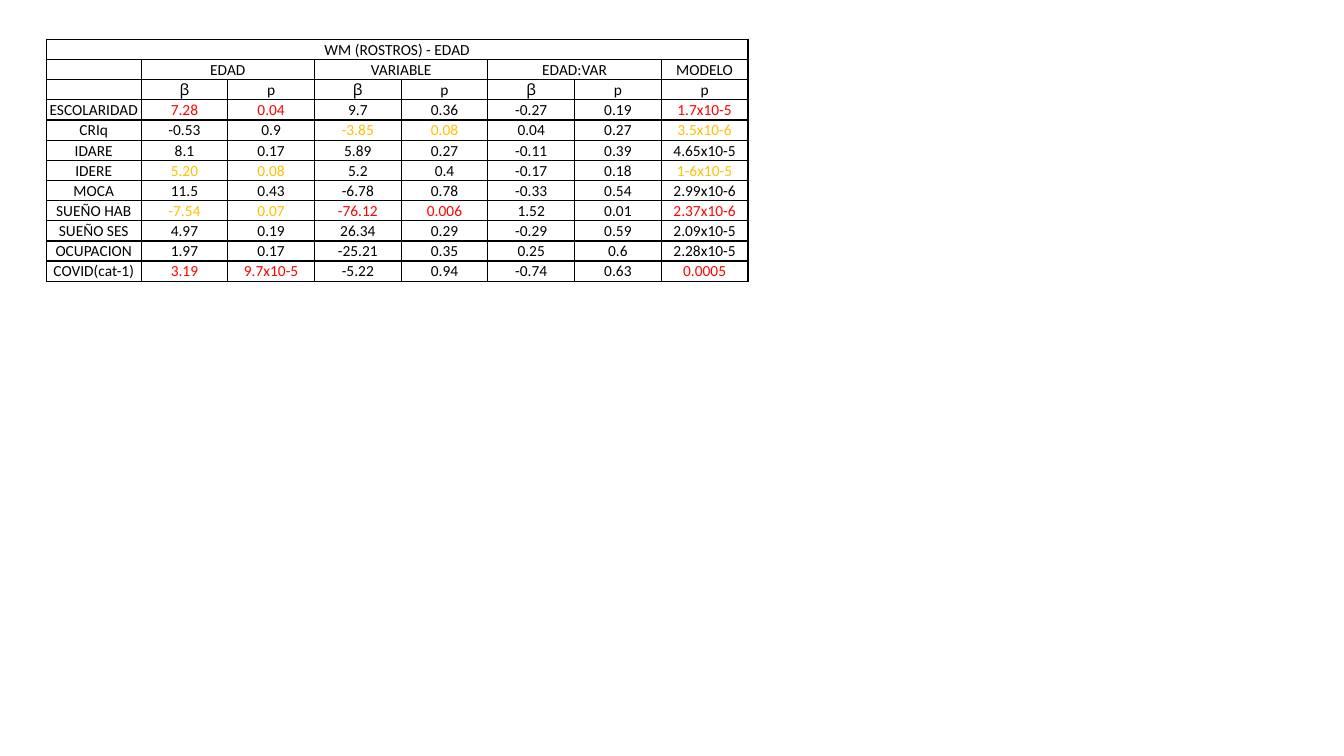
from lxml import etree
from pptx import Presentation
from pptx.dml.color import RGBColor
from pptx.enum import text
from pptx.oxml import ns
from pptx.util import Inches, Pt

BLACK = RGBColor(0, 0, 0)
RED = RGBColor(255, 0, 0)
AMBER = RGBColor(255, 192, 0)
TINTS = {"k": BLACK, "r": RED, "a": AMBER}

TITLE = "WM (ROSTROS) - EDAD"
GROUPS = ["EDAD", "VARIABLE", "EDAD:VAR", "MODELO"]
STATS = ["", *["\ua7b5", "p"] * 3, "p"]

# Label, values, then one tint letter for each column group
ROWS = [
    ("ESCOLARIDAD", "7.28 0.04 9.7 0.36 -0.27 0.19 1.7x10-5", "rkkr"),
    ("CRIq", "-0.53 0.9 -3.85 0.08 0.04 0.27 3.5x10-6", "kaka"),
    ("IDARE", "8.1 0.17 5.89 0.27 -0.11 0.39 4.65x10-5", "kkkk"),
    ("IDERE", "5.20 0.08 5.2 0.4 -0.17 0.18 1-6x10-5", "akka"),
    ("MOCA", "11.5 0.43 -6.78 0.78 -0.33 0.54 2.99x10-6", "kkkk"),
    ("SUEÑO HAB", "-7.54 0.07 -76.12 0.006 1.52 0.01 2.37x10-6", "arkr"),
    ("SUEÑO SES", "4.97 0.19 26.34 0.29 -0.29 0.59 2.09x10-5", "kkkk"),
    ("OCUPACION", "1.97 0.17 -25.21 0.35 0.25 0.6 2.28x10-5", "kkkk"),
    ("COVID(cat-1)", "3.19 9.7x10-5 -5.22 0.94 -0.74 0.63 0.0005", "rkkr"),
]


def add_edges(cell):
    props = cell._tc.get_or_add_tcPr()
    for side in ("lnL", "lnR", "lnT", "lnB"):
        line = etree.SubElement(props, ns.qn("a:" + side), w=str(Pt(1)))
        fill = etree.SubElement(line, ns.qn("a:solidFill"))
        etree.SubElement(fill, ns.qn("a:srgbClr"), val=str(BLACK))


def style_cell(cell):
    cell.margin_left = cell.margin_right = cell.margin_top = Inches(0.01)
    cell.margin_bottom = 0
    cell.vertical_anchor = text.MSO_ANCHOR.MIDDLE
    add_edges(cell)
    cell.fill.background()
    put_text(cell, "")


def put_text(cell, words, tint=BLACK):
    para = cell.text_frame.paragraphs[0]
    if words:
        para.text = words
    para.alignment = text.PP_ALIGN.CENTER
    font = para.font
    font.name, font.size = "Calibri", Pt(11)
    font.color.rgb = tint


def add_grid(slide):
    rows, cols = len(ROWS) + 3, len(STATS)
    frame = slide.shapes.add_table(rows, cols, Inches(0.46), Inches(0.39),
                                   Inches(6.96), Inches(0.2 * rows))
    table = frame.table
    table.first_row = table.horz_banding = False
    for i, col in enumerate(table.columns):
        col.width = Inches(0.86 if i else 0.94)
    for row in table.rows:
        row.height = Inches(0.2)
    for cell in table.iter_cells():
        style_cell(cell)
    return table


def fill_heads(table):
    last = len(STATS) - 1
    table.cell(0, 0).merge(table.cell(0, last))
    put_text(table.cell(0, 0), TITLE)
    for i, name in enumerate(GROUPS):
        left = 1 + 2 * i
        if left < last:
            table.cell(1, left).merge(table.cell(1, left + 1))
        put_text(table.cell(1, left), name)
    for i, stat in enumerate(STATS):
        put_text(table.cell(2, i), stat)


def fill_body(table):
    for r, (label, values, marks) in enumerate(ROWS, 3):
        put_text(table.cell(r, 0), label)
        for c, value in enumerate(values.split()):
            put_text(table.cell(r, c + 1), value, TINTS[marks[c // 2]])


def main():
    deck = Presentation()
    deck.slide_width, deck.slide_height = Inches(13.33), Inches(7.5)
    slide = deck.slides.add_slide(deck.slide_layouts[6])

    # Results table
    table = add_grid(slide)
    fill_heads(table)
    fill_body(table)
    deck.save("out.pptx")


main()
